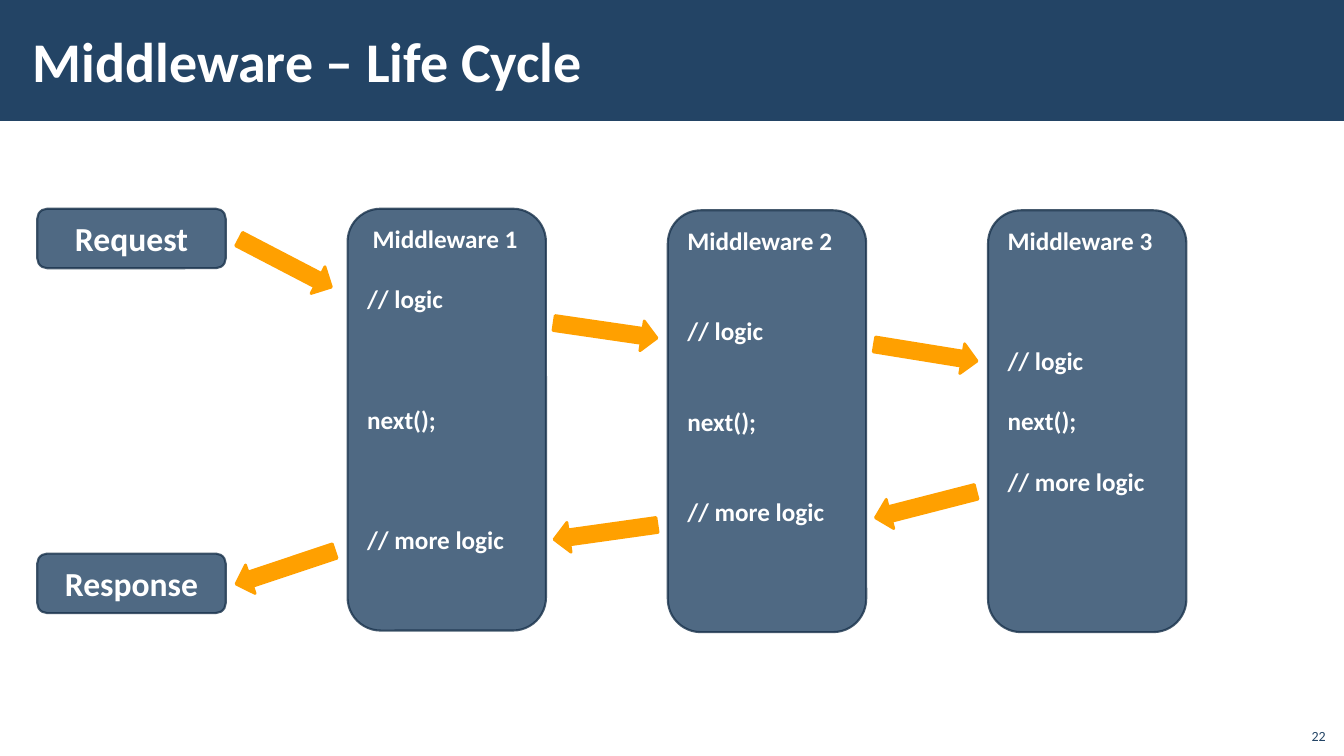
from lxml import etree
from pptx import Presentation
from pptx.dml.color import RGBColor
from pptx.enum.shapes import MSO_SHAPE
from pptx.enum.text import MSO_ANCHOR, PP_ALIGN
from pptx.oxml.ns import qn
from pptx.util import Cm, Pt

NAVY = RGBColor(0x23, 0x44, 0x65)
DARK_NAVY = RGBColor(0x1A, 0x33, 0x4C)
ORANGE = RGBColor(0xFF, 0xA0, 0x00)
WHITE = RGBColor(0xFF, 0xFF, 0xFF)

TITLE = "Middleware – Life Cycle"
PAGE_NUMBER = "22"
ENDPOINTS = [("Request", 5.26), ("Response", 13.95)]
STEPS = ["// logic", "next();", "// more logic"]
MIDDLEWARES = [
    {"name": "Middleware 1", "top": 5.26, "indent": 0.14, "gaps": [1, 3, 3]},
    {"name": "Middleware 2", "top": 5.3, "indent": 0, "gaps": [2, 2, 2]},
    {"name": "Middleware 3", "top": 5.3, "indent": 0, "gaps": [3, 1, 1]},
]
FORWARD_ARROWS = [(6.25, 27.5), (7.95, 8.3), (8.51, 9.2)]
RETURN_ARROWS = [(13.92, 161.5), (13.03, 172), (12.34, 165.6)]

COLUMN_STEP = 8.07
FIRST_MIDDLEWARE = 8.76
FIRST_ARROW = 5.88
BLANK_LINE = 21.5
OPACITY = 80

TITLE_FONT = {"name": "Calibri", "size": Pt(40), "bold": True}
NUMBER_FONT = {"name": "Calibri", "size": Pt(10), "bold": False}
ENDPOINT_FONT = {"name": "Calibri", "size": Pt(24), "bold": True}
STEP_FONT = {"name": "Calibri", "size": Pt(18), "bold": True}


def apply(target, values):
    for name, value in values.items():
        setattr(target, name, value)


def write(para, text, font, color=WHITE, align=PP_ALIGN.LEFT):
    para.alignment = align
    span = para.add_run()
    span.text = text
    apply(span.font, font)
    span.font.color.rgb = color


def add_text(page, area, text, font, color, align, frame):
    box = page.shapes.add_textbox(*map(Cm, area))
    apply(box.text_frame, {"word_wrap": True, **frame})
    write(box.text_frame.paragraphs[0], text, font, color, align)


def add_block(page, kind, area, fill, line=None, width=0, anchor=MSO_ANCHOR.TOP):
    block = page.shapes.add_shape(kind, *map(Cm, area))
    block.shadow.inherit = False
    block.fill.solid()
    block.fill.fore_color.rgb = fill
    if line is None:
        block.line.fill.background()
    else:
        block.line.color.rgb = line
        block.line.width = Pt(width)
    apply(block.text_frame, {"word_wrap": True, "vertical_anchor": anchor})
    return block


def add_panel(page, area, anchor):
    panel = add_block(page, MSO_SHAPE.ROUNDED_RECTANGLE, area, NAVY, DARK_NAVY, 1.5, anchor)
    for color in panel._element.spPr.iter(qn("a:srgbClr")):
        etree.SubElement(color, qn("a:alpha")).set("val", str(OPACITY * 1000))
    return panel


def add_middleware(page, column, middleware):
    left = FIRST_MIDDLEWARE + column * COLUMN_STEP
    panel = add_panel(page, (left, middleware["top"], 5, 10.63), MSO_ANCHOR.TOP)
    heading = panel.text_frame.paragraphs[0]
    heading._p.get_or_add_pPr().set("marL", str(Cm(middleware["indent"])))
    write(heading, middleware["name"], STEP_FONT)
    for step, gap in zip(STEPS, middleware["gaps"]):
        para = panel.text_frame.add_paragraph()
        para.space_before = Pt(gap * BLANK_LINE)
        write(para, step, STEP_FONT)


def main():
    deck = Presentation()
    apply(deck, {"slide_width": Cm(33.87), "slide_height": Cm(19.05)})
    page = deck.slides.add_slide(deck.slide_layouts[6])

    add_block(page, MSO_SHAPE.RECTANGLE, (0, 0, 33.87, 3.05), NAVY)
    add_text(page, (32.64, 18.08, 1.02, 0.81), PAGE_NUMBER, NUMBER_FONT, NAVY,
             PP_ALIGN.RIGHT, {"vertical_anchor": MSO_ANCHOR.BOTTOM})
    add_text(page, (0.53, 0.28, 27, 2.46), TITLE, TITLE_FONT, WHITE, PP_ALIGN.LEFT,
             {"vertical_anchor": MSO_ANCHOR.MIDDLE, "margin_left": Cm(0.3),
              "margin_right": Cm(0.3), "margin_top": Cm(0.1), "margin_bottom": Cm(0.1)})

    for column, middleware in enumerate(MIDDLEWARES):
        add_middleware(page, column, middleware)

    for label, top in ENDPOINTS:
        panel = add_panel(page, (0.94, top, 4.75, 1.5), MSO_ANCHOR.MIDDLE)
        write(panel.text_frame.paragraphs[0], label, ENDPOINT_FONT, align=PP_ALIGN.CENTER)

    for arrows in (FORWARD_ARROWS, RETURN_ARROWS):
        for column, (top, angle) in enumerate(arrows):
            area = (FIRST_ARROW + column * COLUMN_STEP, top, 2.62, 0.76)
            arrow = add_block(page, MSO_SHAPE.RIGHT_ARROW, area, ORANGE, ORANGE, 2)
            arrow.rotation = angle

    deck.save("out.pptx")


if __name__ == "__main__":
    main()
